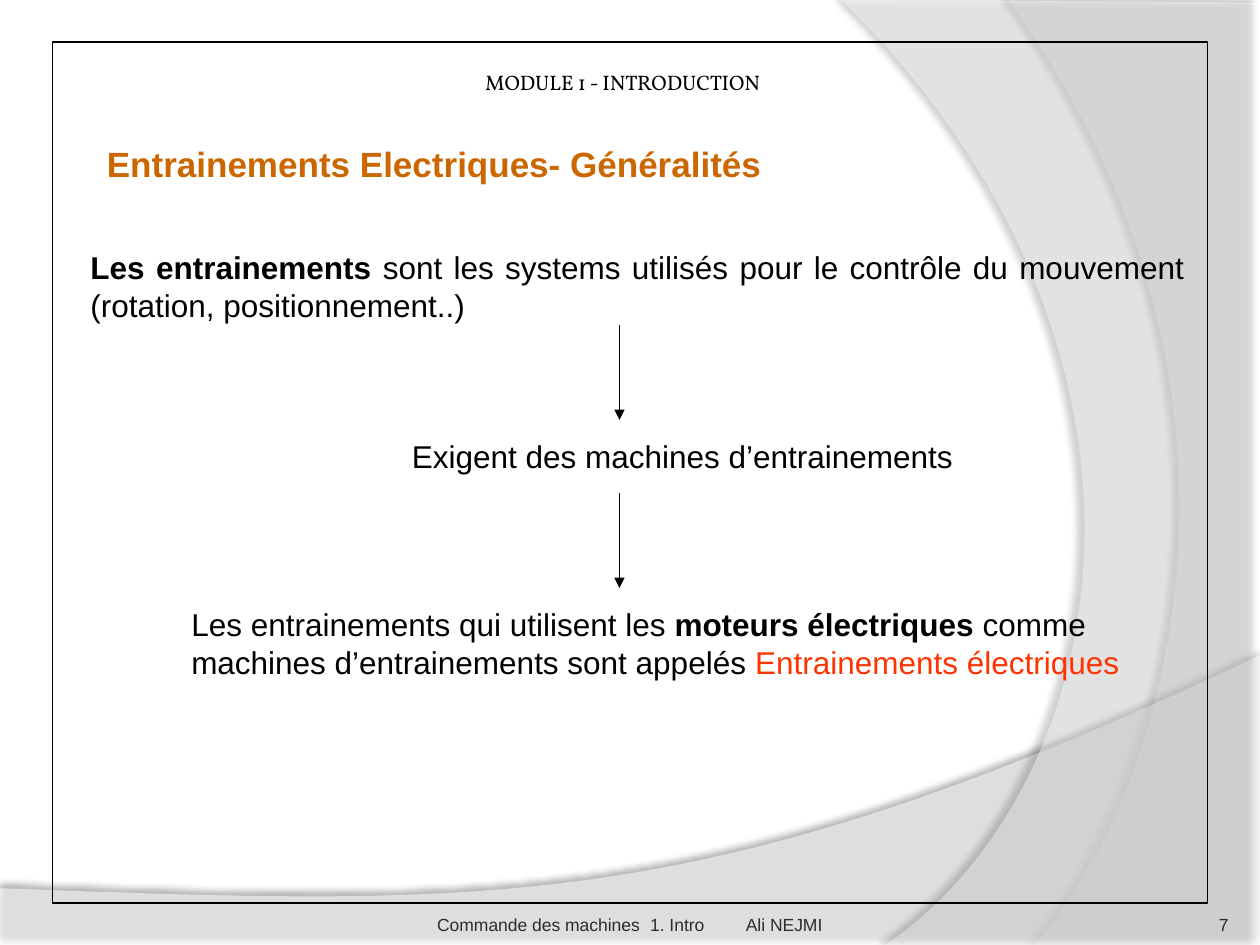
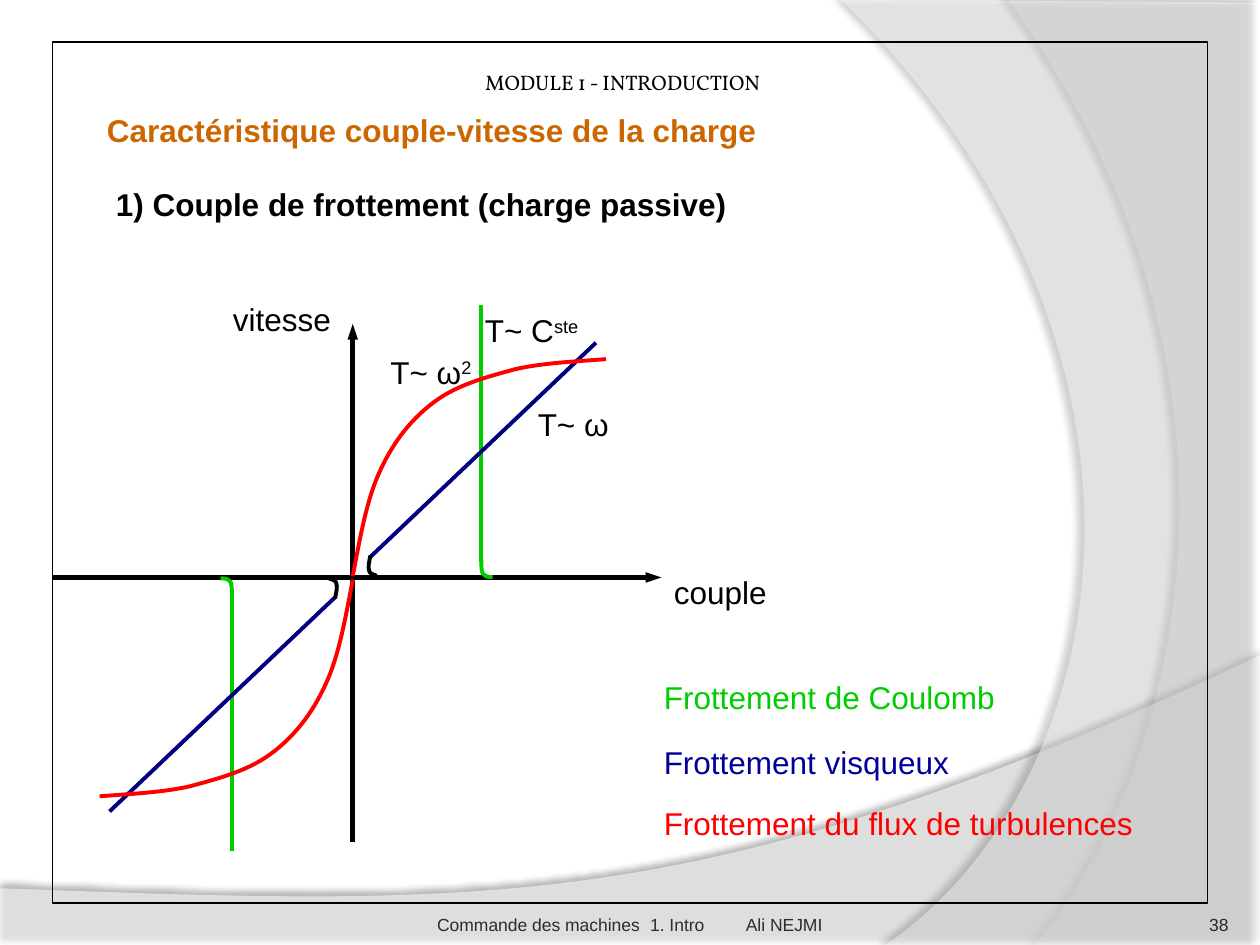
"""Build two course slides on electric drives: an overview flow and a friction torque diagram."""
import pptx
import pptx.dml.color
import pptx.enum.shapes
import pptx.enum.text
import pptx.oxml
import pptx.oxml.ns
import pptx.util

ALIGN = pptx.enum.text.PP_ALIGN
ANCHOR = pptx.enum.text.MSO_ANCHOR

BLACK, WHITE, ORANGE, VERMILION = "000000", "FFFFFF", "CC6600", "FF3300"
GREEN, NAVY, BLUE, RED = "00CC00", "000080", "000099", "FF0000"
BODY_FONT, MODULE_FONT = "Arial", "Vollkorn"
PADDING = (0.1, 0.05, 0.1, 0.05)

MODULE_NAME = "MODULE 1 - INTRODUCTION"
FOOTER = "Commande des machines\t1. Intro\tAli NEJMI"
FOOTER_TABS = (1.69, 2.45)
FRAME = (5 / 12, 1 / 3, 55 / 6, 41 / 6)

SWEEP = {
    "start": (0, 7.05),
    "parts": [[(0, 7.51)], [(10, 7.51)], [(10, 5.2)], [(5.59, 7.29), (3.91, 7.19), (0, 7.05)]],
    "opacity": 45, "shadow": (35, 3.5, 270),
}
INNER_ARC = {
    "start": (10, 0.02),
    "parts": [[(10, 7.5)], [(8.21, 7.5)], [(9.35, 6.19), (10.18, 3), (8, 0)]],
    "opacity": 40, "shadow": (45, 4, 180),
}
OUTER_ARC = {
    "start": (10, 0.02),
    "parts": [[(10, 7.5)], [(7.03, 7.5)], [(8.91, 6.19), (9.47, 2.75), (6.68, 0)]],
    "opacity": 40, "shadow": (45, 4, 180),
}
BANDS = [SWEEP, INNER_ARC, SWEEP, OUTER_ARC]
SHADOW_BLUR = 4
FIRST_BAND_ID = 100

OVERVIEW_TITLE = "Entrainements Electriques- Généralités"
OVERVIEW_STEPS = [
    ((0.62, 1.92, 8.97, 0.71), ALIGN.JUSTIFY, (0.1, 0.05, 0.19, 0.05), [[
        ("Les entrainements ", {"bold": True}),
        ("sont les systems utilisés pour le contrôle du mouvement (rotation, positionnement..)", {}),
    ]]),
    ((3.17, 3.42, 4.53, 0.4), ALIGN.LEFT, PADDING, [[("Exigent des machines d’entrainements", {})]]),
    ((1.42, 4.75, 7.64, 0.71), ALIGN.LEFT, PADDING, [
        [("Les entrainements qui utilisent les", {}),
         (" moteurs électriques ", {"bold": True}),
         ("comme", {})],
        [("machines d’entrainements sont appelés ", {}),
         ("Entrainements électriques", {"color": VERMILION})],
    ]),
]
STEP_ARROW_X, STEP_ARROW_LENGTH = 59 / 12, 0.75
STEP_ARROW_TOPS = [31 / 12, 47 / 12]

FRICTION_TITLE = "Caractéristique couple-vitesse de la charge"
FRICTION_SUBTITLE = "1) Couple de frottement (charge passive)"
AXIS_NAMES = [((1.75, 2.33, 0.99, 0.4), "vitesse"), ((5.25, 4.5, 0.94, 0.4), "couple")]
AXES = [((2.8, 6.68), (2.8, 2.57)), ((5 / 12, 55 / 12), (5.25, 55 / 12))]
FRICTIONS = [
    {
        "label": ((3.75, 2.42, 1.25, 0.4), "T~ C", "ste"),
        "legend": ((5.17, 5.33, 2.85, 0.4), "Frottement de Coulomb", GREEN),
        "mirror_sum": (5.66, 9.17),
        "line": ((3.82, 2.42), (3.82, 4.46), GREEN),
        "curve": ((3.82, 4.45), [[(3.82, 4.49), (3.82, 4.53), (3.83, 4.55)],
                                 [(3.85, 4.58), (3.88, 4.58), (3.91, 4.58)]], GREEN),
    },
    {
        "label": ((4.17, 19 / 6, 1, 0.4), "T~ ω", ""),
        "legend": ((5.17, 5.85, 2.56, 0.4), "Frottement visqueux", BLUE),
        "mirror_sum": (5.6, 9.16),
        "line": ((4.73, 2.72), (2.94, 4.42), NAVY),
        "curve": ((2.94, 4.41), [[(2.93, 4.46), (2.92, 4.5), (2.93, 4.53)],
                                 [(2.93, 4.55), (2.96, 4.56), (2.99, 4.57)]], BLACK),
    },
    {
        "label": ((3, 2.75, 1.08, 0.4), "T~ ω", "2"),
        "legend": ((5.17, 6.33, 3.96, 0.4), "Frottement du flux de turbulences", RED),
        "mirror_sum": (5.6, 9.17),
        "curve": ((2.8, 4.57), [[(2.86, 4.26), (2.91, 3.96), (3.02, 3.73)],
                                [(3.13, 3.49), (3.28, 3.31), (3.46, 3.18)],
                                [(3.64, 3.05), (3.87, 2.99), (4.09, 2.93)],
                                [(4.31, 2.88), (4.56, 2.87), (4.81, 2.85)]], RED),
    },
]


def length(inches):
    return pptx.util.Cm(inches * 2.54)


def color(value):
    return pptx.dml.color.RGBColor.from_string(value)


def new_element(tag, **attributes):
    element = pptx.oxml.parse_xml(f'<a:{tag} xmlns:a="{pptx.oxml.ns.nsuri("a")}"/>')
    for name, value in attributes.items():
        element.set(name, str(value))
    return element


def add_element(parent, tag, **attributes):
    child = new_element(tag, **attributes)
    parent.append(child)
    return child


def set_line(shape, line_color, width):
    shape.line.color.rgb = color(line_color)
    shape.line.width = pptx.util.Pt(width)


def add_text(page, place, paragraphs, size=18, text_color=BLACK, bold=False, font=BODY_FONT,
             align=ALIGN.LEFT, anchor=ANCHOR.TOP, padding=PADDING, tabs=()):
    box = page.shapes.add_textbox(*map(length, place))
    frame = box.text_frame
    frame.word_wrap = True
    frame.vertical_anchor = anchor
    frame.margin_left, frame.margin_top, frame.margin_right, frame.margin_bottom = map(length, padding)
    if isinstance(paragraphs, str):
        paragraphs = [[(paragraphs, {})]]
    for index, spans in enumerate(paragraphs):
        para = frame.add_paragraph() if index else frame.paragraphs[0]
        para.alignment = align
        if tabs:
            stops = add_element(para._p.get_or_add_pPr(), "tabLst")
            for tab in tabs:
                add_element(stops, "tab", pos=length(tab), algn="l")
        para.font.name, para.font.size, para.font.bold = font, pptx.util.Pt(size), bold
        para.font.color.rgb = color(text_color)
        for text, style in spans:
            span = para.add_run()
            span.text = text
            if "bold" in style:
                span.font.bold = style["bold"]
            if "color" in style:
                span.font.color.rgb = color(style["color"])
            if "baseline" in style:
                span._r.get_or_add_rPr().set("baseline", str(style["baseline"] * 1000))


def add_line(page, start, end, line_color, width, arrow_width=None):
    line = page.shapes.add_connector(pptx.enum.shapes.MSO_CONNECTOR.STRAIGHT,
                                     *map(length, start + end))
    set_line(line, line_color, width)
    if arrow_width:
        add_element(line.line._get_or_add_ln(), "tailEnd", type="triangle", w=arrow_width)
    add_element(line._element.spPr, "effectLst")


def add_outline(page, start, parts, close):
    """Draw straight parts (one point) and cubic curves (two handles and an end point)."""
    anchors = [tuple(map(length, part[-1])) for part in parts]
    builder = page.shapes.build_freeform(*map(length, start), scale=1.0)
    builder.add_line_segments(anchors, close=close)
    shape = builder.convert_to_shape()
    shape.shadow.inherit = False
    segments = list(shape._element.iter(pptx.oxml.ns.qn("a:lnTo")))
    for segment, part in zip(segments, parts):
        if len(part) == 3:
            curve = new_element("cubicBezTo")
            for x, y in part:
                add_element(curve, "pt", x=length(x) - shape.left, y=length(y) - shape.top)
            segment.getparent().replace(segment, curve)
    return shape


def add_band(page, band):
    shape = add_outline(page, band["start"], band["parts"], True)
    shape.fill.solid()
    shape.fill.fore_color.rgb = color(WHITE)
    shape.line.fill.background()
    properties = shape._element.spPr
    fill = properties.find(pptx.oxml.ns.qn("a:solidFill"))
    add_element(fill[0], "alpha", val=band["opacity"] * 1000)
    opacity, distance, angle = band["shadow"]
    effects = properties.find(pptx.oxml.ns.qn("a:effectLst"))
    shadow = add_element(effects, "outerShdw", blurRad=pptx.util.Pt(SHADOW_BLUR),
                         dist=pptx.util.Pt(distance), dir=angle * 60000,
                         algn="ctr", rotWithShape=0)
    add_element(add_element(shadow, "srgbClr", val=BLACK), "alpha", val=opacity * 1000)
    return shape


def move_bands_to_master(deck, page):
    tree = deck.slide_master.shapes._spTree
    for index, band in enumerate(BANDS):
        element = add_band(page, band)._element
        element.nvSpPr.cNvPr.set("id", str(FIRST_BAND_ID + index))
        tree.insert(2 + index, element)


def add_page(deck, number):
    page = deck.slides.add_slide(deck.slide_layouts[6])
    add_text(page, (0.5, 0.33, 7.5, 0.42), MODULE_NAME, 12, font=MODULE_FONT,
             anchor=ANCHOR.BOTTOM, padding=(3.35, 0, 0.05, 0))
    add_text(page, (8.92, 7.02, 0.83, 0.4), number, 10, "292929",
             align=ALIGN.RIGHT, anchor=ANCHOR.BOTTOM, padding=(0, 0, 0, 0))
    frame = page.shapes.add_shape(pptx.enum.shapes.MSO_SHAPE.RECTANGLE, *map(length, FRAME))
    frame.shadow.inherit = False
    frame.fill.background()
    set_line(frame, BLACK, 0.75)
    return page


def add_footer(page):
    add_text(page, (3.42, 7.02, 3.17, 0.4), FOOTER, 10, "2C2C2C",
             anchor=ANCHOR.BOTTOM, padding=(0.05, 0.05, 0, 0), tabs=FOOTER_TABS)


def build_overview(deck):
    page = add_page(deck, "7")
    move_bands_to_master(deck, page)
    add_text(page, (0.75, 1.08, 5.43, 0.44), OVERVIEW_TITLE, 20, ORANGE, True)
    for place, align, padding, paragraphs in OVERVIEW_STEPS:
        add_text(page, place, paragraphs, align=align, padding=padding)
    for top in STEP_ARROW_TOPS:
        add_line(page, (STEP_ARROW_X, top), (STEP_ARROW_X, top + STEP_ARROW_LENGTH),
                 BLACK, 0.75, "med")
    add_footer(page)


def mirror(points, total):
    return [(total[0] - x, total[1] - y) for x, y in points]


def add_friction(page, friction):
    group = page.shapes.add_group_shape()
    total = friction["mirror_sum"]
    place, text, exponent = friction["label"]
    spans = [(text, {})]
    if exponent:
        spans.append((exponent, {"baseline": 30}))
    add_text(group, place, [spans])
    if "line" in friction:
        start, end, line_color = friction["line"]
        for ends in ((start, end), mirror((start, end), total)):
            add_line(group, *ends, line_color, 2.25)
    start, parts, line_color = friction["curve"]
    mirrored_parts = [mirror(part, total) for part in parts]
    for branch in ((start, parts), (mirror([start], total)[0], mirrored_parts)):
        curve = add_outline(group, *branch, False)
        curve.fill.background()
        set_line(curve, line_color, 2.25)
    place, text, text_color = friction["legend"]
    add_text(group, place, text, text_color=text_color)


def build_friction(deck):
    page = add_page(deck, "38")
    add_text(page, (0.75, 0.83, 7.58, 0.4), FRICTION_TITLE, 18, ORANGE, True)
    for place, text in AXIS_NAMES:
        add_text(page, place, text)
    for start, end in AXES:
        add_line(page, start, end, BLACK, 3, "sm")
    add_text(page, (0.75, 1.42, 5.75, 0.4), FRICTION_SUBTITLE, bold=True,
             padding=(0.17, 0.05, 0.1, 0.05))
    for friction in FRICTIONS:
        add_friction(page, friction)
    add_footer(page)


def main():
    deck = pptx.Presentation()
    deck.slide_width, deck.slide_height = length(10), length(7.5)
    build_overview(deck)
    build_friction(deck)
    deck.save("out.pptx")


if __name__ == "__main__":
    main()
